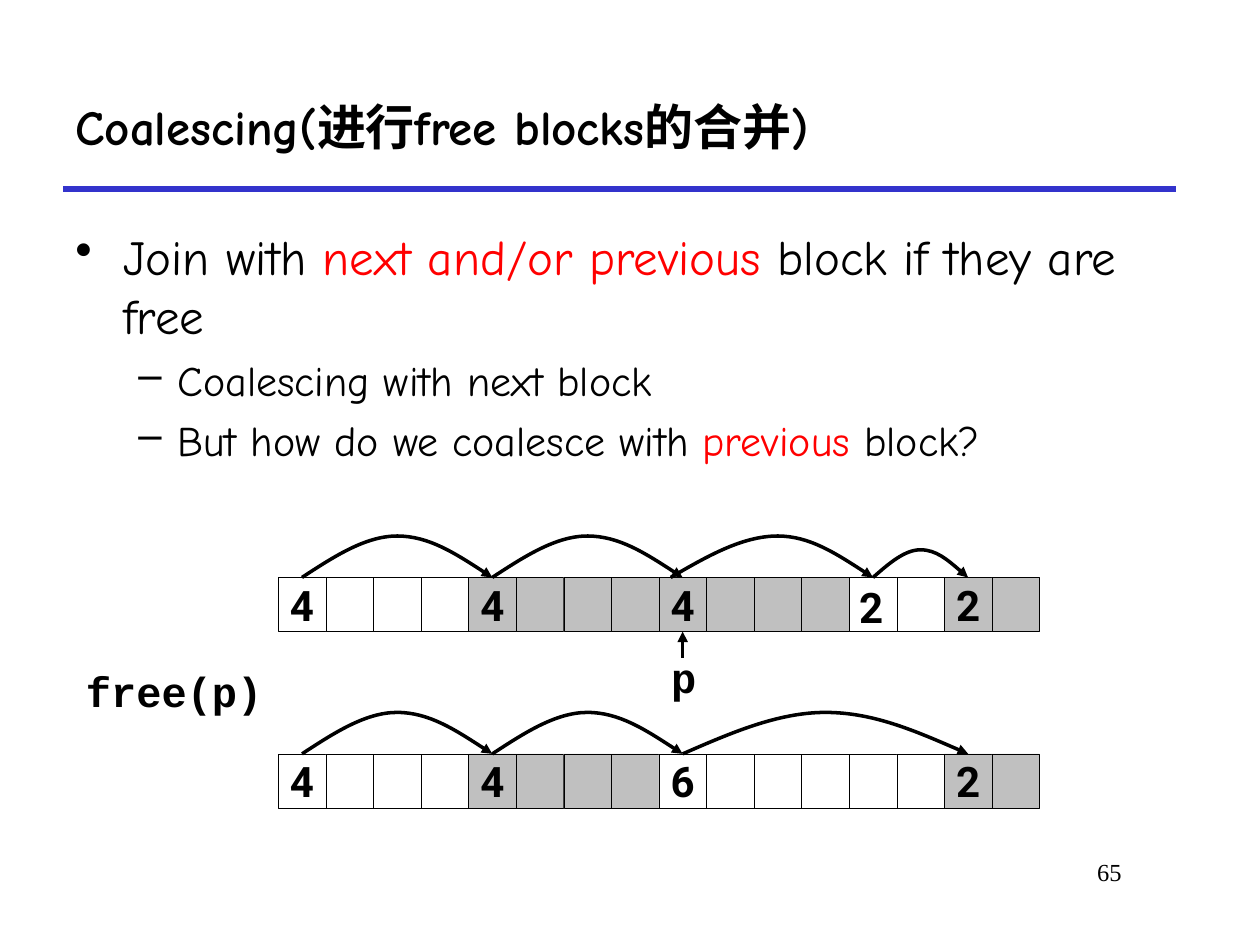
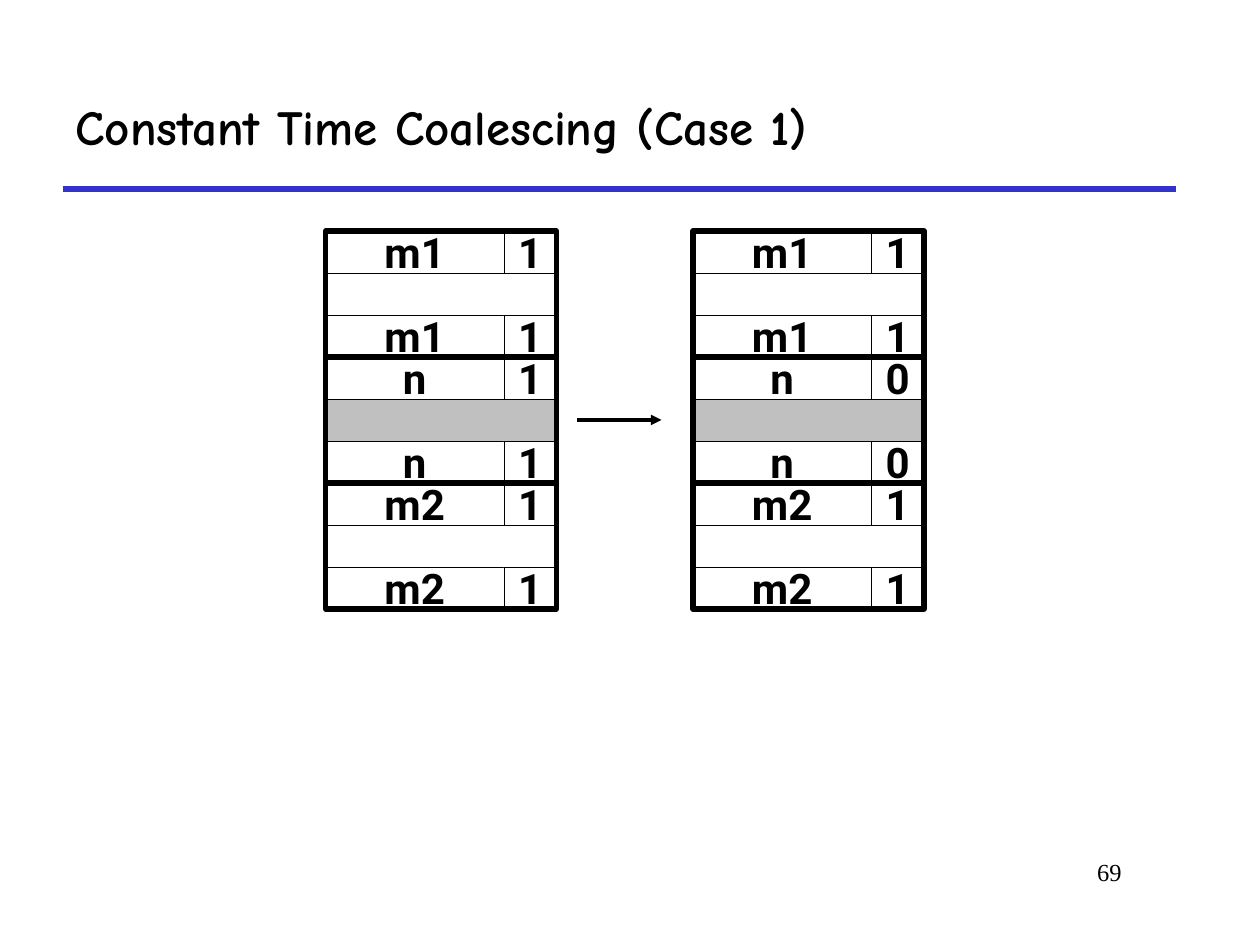
"""Builds two slides on coalescing free memory blocks."""
from lxml.etree import SubElement
from pptx import Presentation
from pptx.dml.color import RGBColor
from pptx.enum.shapes import MSO_CONNECTOR as CONNECTOR, MSO_SHAPE as SHAPE
from pptx.enum.text import MSO_ANCHOR as ANCHOR, MSO_AUTO_SIZE as AUTO_SIZE, PP_ALIGN as ALIGN
from pptx.oxml.ns import qn
from pptx.util import Inches, Pt

BLACK, WHITE, GRAY, RED, BLUE = "000000", "FFFFFF", "C0C0C0", "FF0000", "3333CC"
HAND, MONO, SANS, SERIF = "Comic Neue", "Courier New", "Roboto", "Times New Roman"

BULLETS = [
    (0, [("Join with ", BLACK), ("next and/or previous", RED), (" block if they are free", BLACK)]),
    (1, [("Coalescing with next block", BLACK)]),
    (1, [("But how do we coalesce with ", BLACK), ("previous", RED), (" block?", BLACK)]),
]
LEVELS = [("•", 28, 0.38, -0.38), ("–", 24, 0.81, -0.31)]

HEAPS = [
    dict(top=55, cells="wwwwggggggggwwgg", sizes={0: "4", 4: "4", 8: "4", 14: "2"},
         arcs=[(0.5, 2.5, 4.5, 3.95), (4.5, 6.5, 8.5, 3.95),
               (8.25, 10.5, 12.5, 3.95), (12.5, 13.5, 14.5, 2.64)]),
    dict(top=71.8, cells="wwwwggggwwwwwwgg", sizes={0: "4", 4: "4", 8: "6", 14: "2"},
         arcs=[(0.5, 2.5, 4.5, 3.95), (4.5, 6.5, 8.5, 3.95), (8.5, 11.5, 14.5, 3.95)]),
]
HEAP_LEFT, HEAP_WIDTH, CELL_HEIGHT = 26.5, 72.5, 5.15
CELL_WIDTH = HEAP_WIDTH / 16
POINTER_CELL = 8
LABELS = [("2", SANS, 80.65, 54.8, 5.3), ("free(p)", MONO, 7, 62.75, 22),
          ("p", MONO, 62.75, 61.5, 5.5)]

STACKS = [
    (31, [("m1", "1", WHITE), ("n", "1", GRAY), ("m2", "1", WHITE)]),
    (66, [("m1", "1", WHITE), ("n", "0", GRAY), ("m2", "1", WHITE)]),
]
STACK_TOP, ROW_HEIGHT, SIZE_WIDTH, FLAG_WIDTH = 22, 4, 17, 5


def grid(units):
    """Turn grid units, twelve to the inch, into a length."""
    return Inches(units / 12)


def color(value):
    """Turn a hex string into a colour."""
    return RGBColor.from_string(value)


def style(font, name, size, bold=False, fill=BLACK):
    """Set the look of a font."""
    font.name, font.size, font.bold = name, Pt(size), bold
    font.color.rgb = color(fill)


def add_text(slide, text, box, name, size, bold=False, align=ALIGN.LEFT, anchor=ANCHOR.TOP, wrap=True):
    """Add a one-paragraph text box."""
    shape = slide.shapes.add_textbox(*map(grid, box))
    frame = shape.text_frame
    frame.text = text
    frame.word_wrap = wrap
    frame.vertical_anchor = anchor
    frame.paragraphs[0].alignment = align
    style(frame.paragraphs[0].runs[0].font, name, size, bold)
    return shape


def add_rectangle(slide, box, fill=None, text="", line_width=0.25):
    """Add an outlined rectangle with an optional bold centred label."""
    shape = slide.shapes.add_shape(SHAPE.RECTANGLE, *map(grid, box))
    shape.shadow.inherit = False
    if fill:
        shape.fill.solid()
        shape.fill.fore_color.rgb = color(fill)
    else:
        shape.fill.background()
    set_line(shape, BLACK, line_width)
    if text:
        frame = shape.text_frame
        frame.text = text
        frame.word_wrap = False
        frame.vertical_anchor = ANCHOR.MIDDLE
        frame.paragraphs[0].alignment = ALIGN.CENTER
        style(frame.paragraphs[0].runs[0].font, SANS, 24, True)
    return shape


def set_line(shape, value, width, arrow=False):
    """Set the colour, width and arrowhead of a line."""
    shape.line.color.rgb = color(value)
    shape.line.width = Pt(width)
    if arrow:
        SubElement(shape.element.find(".//" + qn("a:ln")), qn("a:tailEnd"), type="triangle")


def add_line(slide, start, end, value=BLACK, width=2, arrow=True):
    """Add a straight line without a shadow."""
    connector = slide.shapes.add_connector(CONNECTOR.STRAIGHT, *map(grid, start + end))
    set_line(connector, value, width, arrow)
    SubElement(connector.element.spPr, qn("a:effectLst"))
    return connector


def add_arc(slide, start, peak, end, base, height):
    """Add a curved arrow made of two Bézier halves."""
    top, middle = base - height, base - height / 2
    rise, fall = (peak - start) / 3, (end - peak) / 3
    points = [(start + rise, middle), (peak - rise, top), (peak, top),
              (peak + fall, top), (end - fall, middle), (end, base)]
    builder = slide.shapes.build_freeform(grid(start), grid(base))
    builder.add_line_segments([(grid(x), grid(y)) for x, y in points], close=False)
    shape = builder.convert_to_shape()
    outline = shape.element.find(".//" + qn("a:path"))
    segments = outline.findall(qn("a:lnTo"))
    for first in (0, 3):
        curve = SubElement(outline, qn("a:cubicBezTo"))
        for segment in segments[first:first + 3]:
            curve.append(segment[0])
            outline.remove(segment)
    shape.shadow.inherit = False
    shape.fill.background()
    set_line(shape, BLACK, 2, True)


def add_slide(presentation, title, number):
    """Add a slide with the shared rule, title and page number."""
    slide = presentation.slides.add_slide(presentation.slide_layouts[6])
    add_line(slide, (6, 18), (112, 18), BLUE, 3, False)
    add_text(slide, number, (91, 81, 17, 6), SERIF, 14, align=ALIGN.RIGHT)
    add_text(slide, title, (6, 6, 106, 12), HAND, 28, True, anchor=ANCHOR.MIDDLE)
    return slide


def add_bullets(slide):
    """Add the bulleted list."""
    frame = slide.shapes.add_textbox(*map(grid, (6, 21, 106, 58))).text_frame
    frame.word_wrap = True
    for index, (level, runs) in enumerate(BULLETS):
        mark, size, margin, indent = LEVELS[level]
        paragraph = frame.add_paragraph() if index else frame.paragraphs[0]
        paragraph.level = level
        if index:
            paragraph.space_before = Pt(5.5)
        properties = paragraph._p.get_or_add_pPr()
        properties.set("marL", str(Inches(margin)))
        properties.set("indent", str(Inches(indent)))
        SubElement(properties, qn("a:buChar"), char=mark)
        for text, fill in runs:
            run = paragraph.add_run()
            run.text = text
            style(run.font, HAND, size, fill=fill)


def add_heap(slide, top, cells, sizes, arcs):
    """Add a row of memory words with arcs from block to block."""
    def column(index):
        return HEAP_LEFT + index * CELL_WIDTH

    words = [add_rectangle(slide, (column(index), top, CELL_WIDTH, CELL_HEIGHT),
                           GRAY if kind == "g" else WHITE, sizes.get(index, ""))
             for index, kind in enumerate(cells)]
    for start, peak, end, height in arcs:
        add_arc(slide, column(start), column(peak), column(end), top, height)
    return words


def add_stack(slide, left, blocks):
    """Add blocks one above the other, each with header, payload and footer."""
    width = SIZE_WIDTH + FLAG_WIDTH
    for index, (size, flag, payload) in enumerate(blocks):
        top = STACK_TOP + index * 3 * ROW_HEIGHT
        add_rectangle(slide, (left, top + ROW_HEIGHT, width, ROW_HEIGHT), payload)
        for row in (top, top + 2 * ROW_HEIGHT):
            add_rectangle(slide, (left, row, SIZE_WIDTH, ROW_HEIGHT), WHITE, size)
            add_rectangle(slide, (left + SIZE_WIDTH, row, FLAG_WIDTH, ROW_HEIGHT), WHITE, flag)
        add_rectangle(slide, (left, top, width, 3 * ROW_HEIGHT), line_width=3)


def main():
    """Build and save the slides."""
    presentation = Presentation()
    presentation.slide_width, presentation.slide_height = Inches(10), Inches(7.5)

    slide = add_slide(presentation, "Coalescing(进行free blocks的合并)", "65")
    add_bullets(slide)
    before, after = [add_heap(slide, **heap) for heap in HEAPS]
    for text, font, left, top, width in LABELS:
        label = add_text(slide, text, (left, top, width, 7.9), font, 24, True, wrap=False)
        label.text_frame.auto_size = AUTO_SIZE.SHAPE_TO_FIT_TEXT
    pointer_x = HEAP_LEFT + (POINTER_CELL + 0.5) * CELL_WIDTH
    pointer = add_line(slide, (pointer_x, 62.65), (pointer_x, HEAPS[0]["top"] + CELL_HEIGHT))
    pointer.end_connect(before[POINTER_CELL], 2)

    slide = add_slide(presentation, "Constant Time Coalescing (Case 1)", "69")
    for left, blocks in STACKS:
        add_stack(slide, left, blocks)
    add_line(slide, (55, 40), (63, 40))

    presentation.save("out.pptx")


if __name__ == "__main__":
    main()
